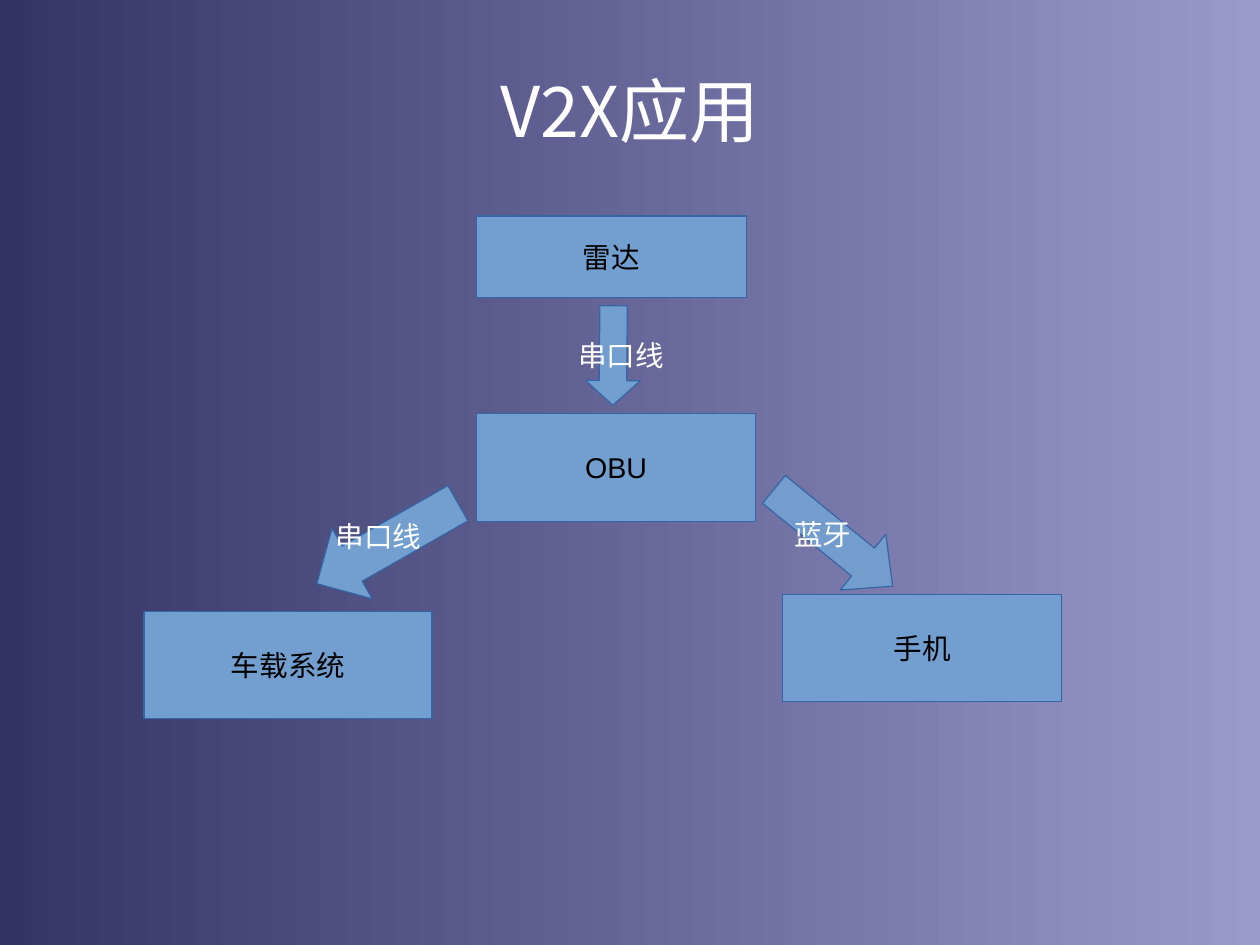
from lxml.etree import SubElement
from pptx import Presentation
from pptx.dml.color import RGBColor
from pptx.enum.shapes import MSO_SHAPE as Shape
from pptx.enum.text import MSO_ANCHOR as Anchor, PP_ALIGN as Align
from pptx.oxml.ns import qn
from pptx.util import Inches, Pt

NIGHT = RGBColor(0x33, 0x33, 0x66)
LAVENDER = RGBColor(0x99, 0x99, 0xCC)
BLUE = RGBColor(0x72, 0x9F, 0xCF)
EDGE = RGBColor(0x34, 0x65, 0xA4)
WHITE = RGBColor(0xFF, 0xFF, 0xFF)
BLACK = RGBColor(0x00, 0x00, 0x00)
CJK_FONT = "Noto Sans CJK SC"
CM_PER_INCH = 2.54

# Each box: name, (left, top, width, height)
DEVICES = [
    ("OBU", (4.17, 3.62, 2.44, 0.94)),
    ("车载系统", (1.26, 5.35, 2.52, 0.94)),
    ("手机", (6.85, 5.2, 2.44, 0.94)),
    ("雷达", (4.17, 1.89, 2.36, 0.71)),
]
# Each arrow: box, rotation, head length, opacity in percent
ARROWS = [
    ((4.93, 2.87, 0.87, 0.48), 270.5, 0.45, 100),
    ((2.68, 4.4, 1.42, 0.71), 330.3, 0.5, 100),
    ((6.62, 4.39, 1.34, 0.63), 219.2, 0.53, 96),
]
# Each label: wording, box, alignment
LINKS = [
    ("蓝牙", (6.85, 4.47, 1.34, 0.46), Align.LEFT),
    ("串口线", (4.96, 2.91, 1.02, 0.46), Align.LEFT),
    ("串口线", (2.76, 4.49, 1.1, 0.46), Align.CENTER),
]


def inches(box):
    return [Inches(length) for length in box]


def write(frame, wording, size, color, align, latin="Arial"):
    frame.text = wording
    paragraph = frame.paragraphs[0]
    paragraph.alignment = align
    run = paragraph.runs[0]
    run.font.size = Pt(size)
    run.font.color.rgb = color
    run.font.name = latin
    SubElement(run.font._element, qn("a:ea"), typeface=CJK_FONT)


def add_block(slide, kind, box):
    block = slide.shapes.add_shape(kind, *inches(box))
    block.shadow.inherit = False
    block.fill.solid()
    block.fill.fore_color.rgb = BLUE
    block.line.color.rgb = EDGE
    block.line.width = Pt(0)
    return block


def paint_background(slide):
    fill = slide.background.fill
    fill.gradient()
    fill.gradient_angle = 0
    for stop, color in zip(fill.gradient_stops, (NIGHT, LAVENDER)):
        stop.color.rgb = color


def add_title(slide, wording, box):
    title = slide.shapes.title
    title.left, title.top, title.width, title.height = inches(box)
    frame = title.text_frame
    frame.margin_left = frame.margin_right = 0
    frame.margin_top = frame.margin_bottom = 0
    frame.vertical_anchor = Anchor.MIDDLE
    write(frame, wording, 44, WHITE, Align.CENTER, CJK_FONT)


def add_device(slide, name, box):
    frame = add_block(slide, Shape.RECTANGLE, box).text_frame
    frame.word_wrap = False
    frame.vertical_anchor = Anchor.MIDDLE
    write(frame, name, 18, BLACK, Align.CENTER)


def add_arrow(slide, box, rotation, head, opacity):
    arrow = add_block(slide, Shape.LEFT_ARROW, box)
    arrow.rotation = rotation
    arrow.adjustments[1] = head
    if opacity < 100:
        color = arrow._element.spPr.find(qn("a:solidFill"))[0]
        SubElement(color, qn("a:alpha"), val=str(opacity * 1000))


def add_link_label(slide, wording, box, align):
    frame = slide.shapes.add_textbox(*inches(box)).text_frame
    frame.word_wrap = True
    write(frame, wording, 18, WHITE, align)


def main():
    deck = Presentation()
    # A page of 28 by 21 cm
    deck.slide_width = Inches(28 / CM_PER_INCH)
    deck.slide_height = Inches(21 / CM_PER_INCH)
    slide = deck.slides.add_slide(deck.slide_layouts[5])
    paint_background(slide)
    add_title(slide, "V2X应用", (0.55, 0.51, 9.92, 0.89))

    # Devices, the arrows between them, and the link names on top
    for device in DEVICES:
        add_device(slide, *device)
    for arrow in ARROWS:
        add_arrow(slide, *arrow)
    for link in LINKS:
        add_link_label(slide, *link)
    deck.save("out.pptx")


if __name__ == "__main__":
    main()
